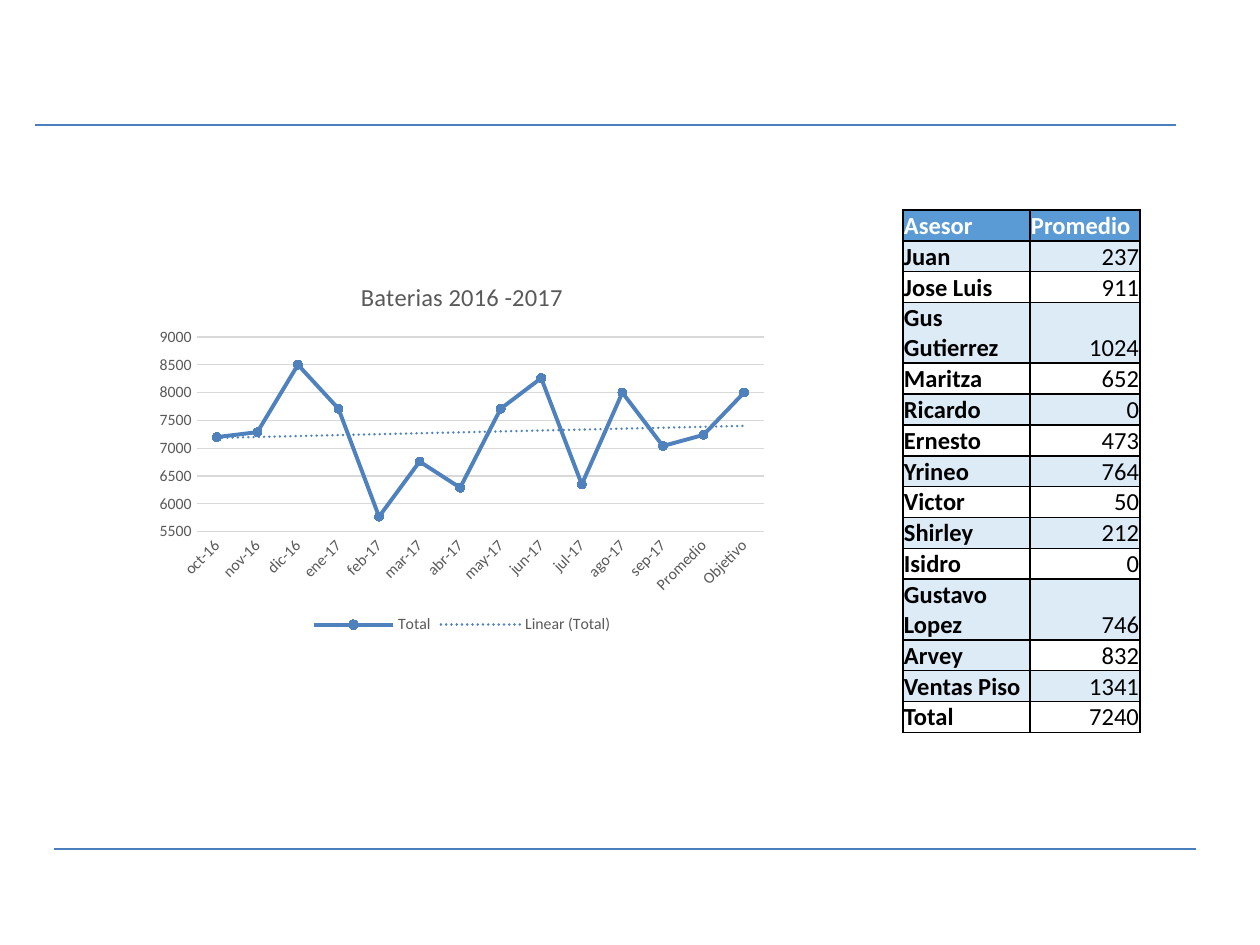
"""Slide with a battery sales trend chart and a table of averages by adviser."""
from lxml.etree import SubElement
from pptx import Presentation
from pptx.chart.data import CategoryChartData
from pptx.dml.color import RGBColor
from pptx.enum.chart import XL_CHART_TYPE, XL_LEGEND_POSITION, XL_MARKER_STYLE, XL_TICK_MARK
from pptx.enum.shapes import MSO_CONNECTOR
from pptx.enum.text import MSO_ANCHOR, PP_ALIGN
from pptx.oxml import parse_xml
from pptx.oxml.ns import nsdecls, qn
from pptx.util import Pt

PX = 914400 // 126
FONT = "Calibri"
RULE, SERIES, GRID, GREY = "4B7EBC", "4F81BD", "D9D9D9", "595959"
HEADER, BAND, BLACK, WHITE = "5B9BD5", "DDEBF7", "000000", "FFFFFF"

RULES = [(35, 1176, 125), (54, 1196, 849)]
CHART_BOX = (147, 261, 630, 378)
CHART_TITLE = "Baterias 2016 -2017"
MONTHLY = [
    ("oct-16", 7200), ("nov-16", 7290), ("dic-16", 8500), ("ene-17", 7710),
    ("feb-17", 5770), ("mar-17", 6760), ("abr-17", 6290), ("may-17", 7710),
    ("jun-17", 8260), ("jul-17", 6350), ("ago-17", 8000), ("sep-17", 7040),
    ("Promedio", 7240), ("Objetivo", 8000),
]
TABLE_LEFT, TABLE_TOP, ROW_HEIGHT = 903, 210, 28
COLUMN_WIDTHS = (127, 110)
AVERAGES = [
    ("Asesor", "Promedio"), ("Juan", "237"), ("Jose Luis", "911"),
    ("Gus Gutierrez", "1024"), ("Maritza", "652"), ("Ricardo", "0"),
    ("Ernesto", "473"), ("Yrineo", "764"), ("Victor", "50"),
    ("Shirley", "212"), ("Isidro", "0"), ("Gustavo Lopez", "746"),
    ("Arvey", "832"), ("Ventas Piso", "1341"), ("Total", "7240"),
]
EXTRA_BANDED = {"Arvey"}


def px(*lengths):
    return [length * PX for length in lengths]


def rgb(color):
    return RGBColor.from_string(color)


def style_line(line, color, width):
    line.color.rgb = rgb(color)
    line.width = Pt(width)


def style_font(font, size, color, bold=False):
    font.name, font.size, font.bold = FONT, Pt(size), bold
    font.color.rgb = rgb(color)


def add_rule(slide, left, right, y):
    rule = slide.shapes.add_connector(MSO_CONNECTOR.STRAIGHT, *px(left, y, right, y))
    style_line(rule.line, RULE, 0.75)
    SubElement(rule._element.spPr, qn("a:effectLst"))


def add_trend(series):
    trend = parse_xml(
        f'<c:trendline {nsdecls("c", "a")}><c:spPr><a:ln w="19050" cap="rnd"><a:solidFill>'
        f'<a:srgbClr val="{SERIES}"/></a:solidFill><a:prstDash val="sysDot"/></a:ln></c:spPr>'
        '<c:trendlineType val="linear"/><c:dispRSqr val="0"/><c:dispEq val="0"/></c:trendline>')
    series._element.find(qn("c:cat")).addprevious(trend)


def add_sales_chart(slide):
    sales = CategoryChartData()
    sales.categories = [month for month, _ in MONTHLY]
    sales.add_series("Total", [total for _, total in MONTHLY])
    chart = slide.shapes.add_chart(XL_CHART_TYPE.LINE_MARKERS, *px(*CHART_BOX), sales).chart
    style_font(chart.font, 10, BLACK)
    chart.has_title = True
    title = chart.chart_title.text_frame.paragraphs[0].add_run()
    title.text = CHART_TITLE
    style_font(title.font, 14, GREY)
    chart.has_legend = True
    chart.legend.position = XL_LEGEND_POSITION.BOTTOM
    chart.legend.include_in_layout = False
    style_font(chart.legend.font, 9, GREY)

    months, totals = chart.category_axis, chart.value_axis
    for axis in (months, totals):
        axis.major_tick_mark = axis.minor_tick_mark = XL_TICK_MARK.NONE
        style_font(axis.tick_labels.font, 9, GREY)
    style_line(months.format.line, GRID, 0.75)
    months._element.find(qn("c:txPr")).find(qn("a:bodyPr")).set("rot", "-2700000")
    totals.minimum_scale = 5500
    totals.format.line.fill.background()
    style_line(totals.major_gridlines.format.line, GRID, 0.75)

    chart.plots[0].vary_by_categories = False
    series = chart.plots[0].series[0]
    series.smooth = False
    style_line(series.format.line, SERIES, 2.25)
    marker = series.marker
    marker.style, marker.size = XL_MARKER_STYLE.CIRCLE, 5
    marker.format.fill.solid()
    marker.format.fill.fore_color.rgb = rgb(SERIES)
    style_line(marker.format.line, SERIES, 0.75)
    add_trend(series)


def add_borders(cell):
    properties = cell._tc.get_or_add_tcPr()
    for position, side in enumerate("LRTB"):
        properties.insert(position, parse_xml(
            f'<a:ln{side} {nsdecls("a")} w="12700"><a:solidFill><a:srgbClr val="{BLACK}"/>'
            f'</a:solidFill></a:ln{side}>'))


def fill_cell(cell, text, row, column):
    header, name = row == 0, column == 0
    cell.margin_left = cell.margin_right = cell.margin_top = PX
    cell.margin_bottom = 0
    cell.vertical_anchor = MSO_ANCHOR.BOTTOM
    if header or row % 2 or text in EXTRA_BANDED:
        cell.fill.solid()
        cell.fill.fore_color.rgb = rgb(HEADER if header else BAND)
    else:
        cell.fill.background()
    add_borders(cell)
    paragraph = cell.text_frame.paragraphs[0]
    paragraph.alignment = PP_ALIGN.LEFT if header or name else PP_ALIGN.RIGHT
    run = paragraph.add_run()
    run.text = text
    style_font(run.font, 14, WHITE if header else BLACK, header or name)


def add_averages_table(slide):
    size = (sum(COLUMN_WIDTHS), ROW_HEIGHT * len(AVERAGES))
    table = slide.shapes.add_table(
        len(AVERAGES), len(COLUMN_WIDTHS), *px(TABLE_LEFT, TABLE_TOP, *size)).table
    for column, width in zip(table.columns, px(*COLUMN_WIDTHS)):
        column.width = width
    for row, entry in enumerate(AVERAGES):
        for column, text in enumerate(entry):
            fill_cell(table.cell(row, column), text, row, column)


def main():
    deck = Presentation()
    deck.slide_width, deck.slide_height = px(1260, 945)
    slide = deck.slides.add_slide(deck.slide_layouts[6])
    for rule in RULES:
        add_rule(slide, *rule)
    add_sales_chart(slide)
    add_averages_table(slide)
    deck.save("out.pptx")


if __name__ == "__main__":
    main()
